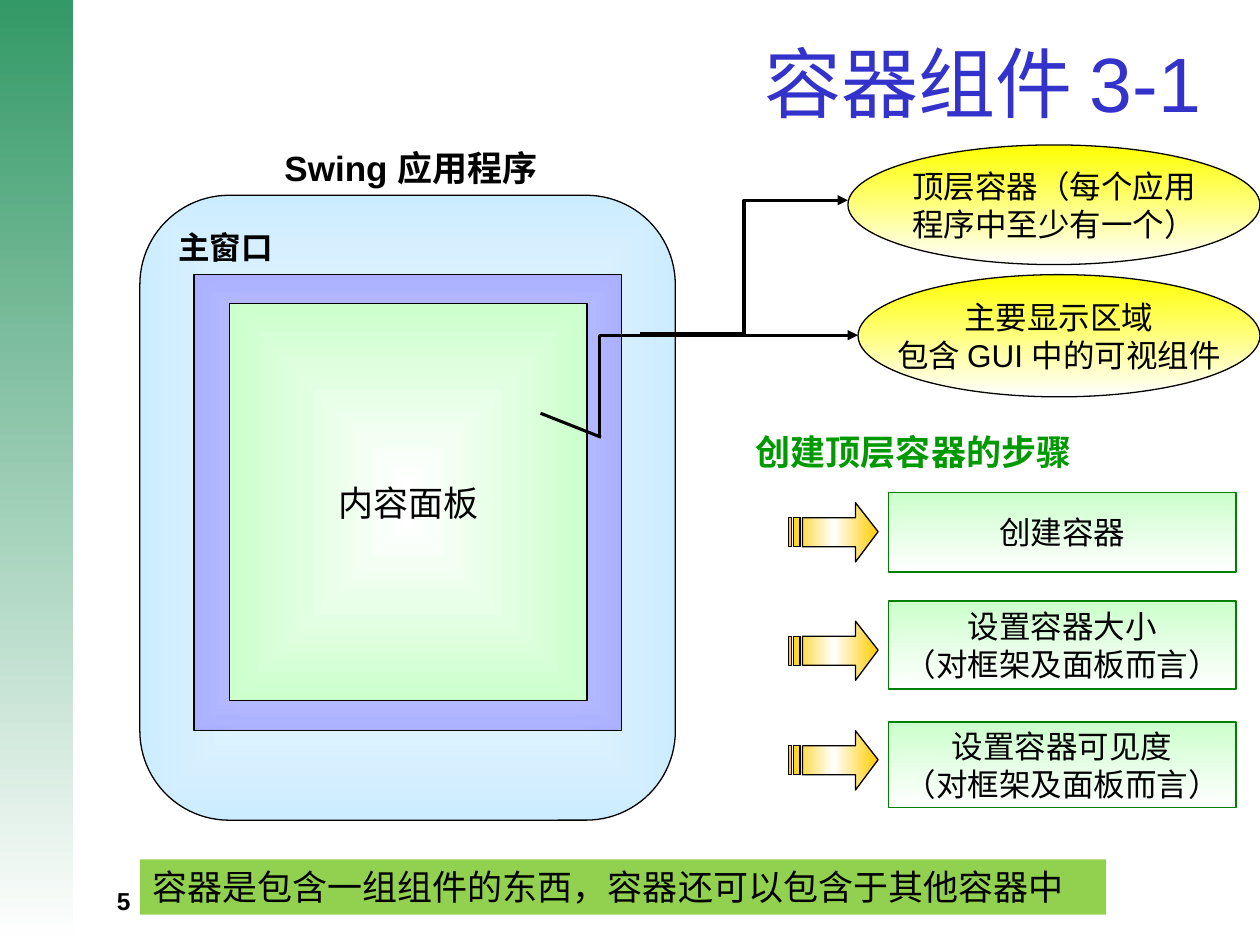
from pptx import Presentation
from pptx.dml.color import RGBColor
from pptx.enum.shapes import MSO_CONNECTOR, MSO_SHAPE
from pptx.enum.text import MSO_ANCHOR, PP_ALIGN
from pptx.oxml.ns import qn
from pptx.util import Inches, Pt
from lxml import etree

RECTANGLE = MSO_SHAPE.RECTANGLE
OVAL = MSO_SHAPE.OVAL
ROUNDED = MSO_SHAPE.FLOWCHART_ALTERNATE_PROCESS
STRAIGHT = MSO_CONNECTOR.STRAIGHT
ELBOW = MSO_CONNECTOR.ELBOW
TOP, MIDDLE = MSO_ANCHOR.TOP, MSO_ANCHOR.MIDDLE
LEFT, CENTER, RIGHT = PP_ALIGN.LEFT, PP_ALIGN.CENTER, PP_ALIGN.RIGHT
CJK_FONT = "Noto Sans CJK SC"


def style(shape, stops, angle=None, line=None):
    shape.shadow.inherit = False
    shape.fill.gradient()
    gradient = shape._element.spPr.find(qn("a:gradFill"))
    for child in list(gradient):
        gradient.remove(child)
    stop_list = etree.SubElement(gradient, qn("a:gsLst"))
    for position, color, alpha in stops:
        stop = etree.SubElement(stop_list, qn("a:gs"), pos=str(position * 1000))
        value = etree.SubElement(stop, qn("a:srgbClr"), val=color)
        if alpha < 100:
            etree.SubElement(value, qn("a:alpha"), val=str(alpha * 1000))
    if angle is None:
        path = etree.SubElement(gradient, qn("a:path"), path="rect")
        etree.SubElement(path, qn("a:fillToRect"), l="50000", t="50000", r="50000", b="50000")
    else:
        etree.SubElement(gradient, qn("a:lin"), ang=str(angle * 60000), scaled="1")
    if line:
        shape.line.color.rgb = RGBColor.from_string(line)
        shape.line.width = Pt(0.75)
    else:
        shape.line.fill.background()


def write(shape, lines, size, color="000000", bold=False, align=LEFT,
          anchor=TOP, wrap=True, font="Arial"):
    frame = shape.text_frame
    frame.word_wrap = wrap
    frame.vertical_anchor = anchor
    for index, line in enumerate(lines):
        paragraph = frame.add_paragraph() if index else frame.paragraphs[0]
        paragraph.alignment = align
        run = paragraph.add_run()
        run.text = line
        run.font.size = Pt(size)
        run.font.bold = bold
        run.font.name = font
        run.font.color.rgb = RGBColor.from_string(color)
        etree.SubElement(run._r.get_or_add_rPr(), qn("a:ea"), typeface=CJK_FONT)


presentation = Presentation()
presentation.slide_width = Inches(10)
presentation.slide_height = Inches(7.5)
slide = presentation.slides.add_slide(presentation.slide_layouts[6])
shapes = slide.shapes

side_band = shapes.add_shape(RECTANGLE, 0, 0, Inches(0.58), Inches(7.5))
style(side_band, [(0, "339966", 100), (100, "FFFFFF", 100)], 90)

labels = [
    ((0.83, 6.98, 2.33, 0.24), "5", 14, "000000", True, LEFT, TOP),
    ((0.47, 0.21, 9.33, 0.87), "容器组件 3-1 ", 44, "3333CC", False, RIGHT, MIDDLE),
    ((2.16, 1.11, 2.84, 0.43), "Swing 应用程序", 20, "000000", True, LEFT, TOP),
    ((5.9, 3.37, 4.1, 0.43), "创建顶层容器的步骤", 20, "009900", True, LEFT, TOP),
]
for box, text, size, color, bold, align, anchor in labels:
    label = shapes.add_textbox(*map(Inches, box))
    write(label, [text], size, color, bold, align, anchor)

nested_panels = [
    (ROUNDED, (1.11, 1.55, 4.25, 4.96), "CCECFF", 100, "主窗口", 18, True, LEFT, TOP),
    (RECTANGLE, (1.54, 2.18, 3.39, 3.62), "9999FF", 73, None, 18, False, CENTER, MIDDLE),
    (RECTANGLE, (1.82, 2.41, 2.84, 3.15), "CCFFCC", 100, "内容面板", 20, False, CENTER, MIDDLE),
]
for kind, box, color, alpha, text, size, bold, align, anchor in nested_panels:
    panel = shapes.add_shape(kind, *map(Inches, box))
    style(panel, [(0, "FFFFFF", 100), (100, color, alpha)], line="000000")
    if text:
        write(panel, [text], size, bold=bold, align=align, anchor=anchor, wrap=False)

connectors = [
    (ELBOW, (5.08, 2.65, 6.73, 1.59), True, False),
    (STRAIGHT, (4.29, 3.28, 4.77, 3.47), False, False),
    (ELBOW, (5.38, 2.04, 6.19, 4.09), True, True),
]
for kind, ends, arrow, single_bend in connectors:
    connector = shapes.add_connector(kind, *map(Inches, ends))
    connector.line.color.rgb = RGBColor.from_string("000000")
    connector.line.width = Pt(1.75)
    properties = connector._element.spPr
    if arrow:
        etree.SubElement(properties.find(qn("a:ln")), qn("a:tailEnd"), type="triangle")
    if single_bend:
        properties.find(qn("a:prstGeom")).set("prst", "bentConnector2")
        properties.find(qn("a:xfrm")).set("rot", str(270 * 60000))
    etree.SubElement(properties, qn("a:effectLst"))

callouts = [
    (OVAL, (6.73, 1.15, 3.27, 0.95), "FFFF00", "000000", ["顶层容器（每个应用", "程序中至少有一个）"]),
    (OVAL, (6.81, 2.18, 3.19, 0.97), "FFFF00", "000000", ["主要显示区域", "包含 GUI 中的可视组件"]),
    (RECTANGLE, (7.05, 3.91, 2.76, 0.63), "CCFFCC", "008000", ["创建容器"]),
    (RECTANGLE, (7.05, 4.77, 2.76, 0.7), "CCFFCC", "008000", ["设置容器大小", "（对框架及面板而言）"]),
    (RECTANGLE, (7.05, 5.73, 2.76, 0.68), "CCFFCC", "008000", ["设置容器可见度", "（对框架及面板而言）"]),
]
for kind, box, color, line, lines in callouts:
    callout = shapes.add_shape(kind, *map(Inches, box))
    style(callout, [(0, color, 100), (100, "FFFFFF", 100)], 90, line)
    write(callout, lines, 18, align=CENTER, anchor=MIDDLE, wrap=False)

arrow_contours = [
    [(0.53, 0), (0.53, 0.12), (0.11, 0.12), (0.11, 0.35), (0.53, 0.35), (0.53, 0.47), (0.71, 0.23)],
    [(0.04, 0.12), (0.04, 0.35), (0.09, 0.35), (0.09, 0.12)],
    [(0, 0.12), (0, 0.35), (0.02, 0.35), (0.02, 0.12)],
]
for top in (3.99, 4.93, 5.8):
    builder = None
    for contour in arrow_contours:
        points = [(Inches(6.26 + x), Inches(top + y)) for x, y in contour]
        if builder is None:
            builder = shapes.build_freeform(*points[0])
        else:
            builder.move_to(*points[0])
        builder.add_line_segments(points[1:], close=True)
    step_arrow = builder.convert_to_shape()
    style(step_arrow, [(0, "FFCC00", 100), (50, "FFFFFF", 100), (100, "FFCC00", 100)], 0, "000000")

summary = shapes.add_shape(RECTANGLE, Inches(1.11), Inches(6.82), Inches(7.67), Inches(0.44))
summary.shadow.inherit = False
summary.fill.solid()
summary.fill.fore_color.rgb = RGBColor.from_string("92D050")
summary.line.fill.background()
write(summary, ["容器是包含一组组件的东西，容器还可以包含于其他容器中"], 20, font=CJK_FONT)

presentation.save("out.pptx")
